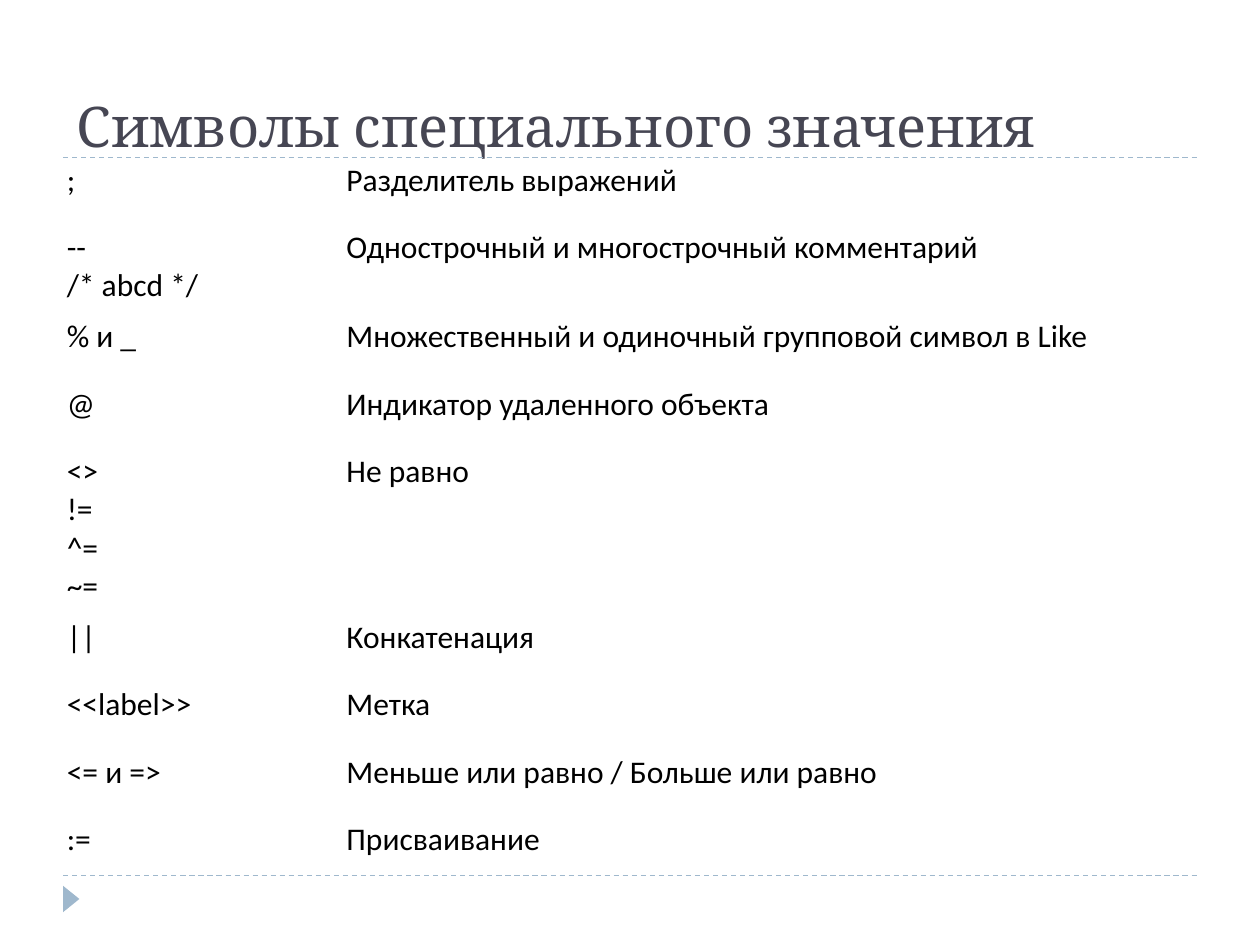
import pptx
import pptx.util
import pptx.dml.color
import pptx.enum.dml
import pptx.enum.shapes
import pptx.enum.text
import pptx.oxml.ns
from lxml import etree
from pptx.util import Inches

TITLE = "Символы специального значения"
SYMBOLS = [
    ([";"], "Разделитель выражений", 0.53),
    (["--", "/* abcd */"], "Однострочный и многострочный комментарий", 0.7),
    (["% и _"], "Множественный и одиночный групповой символ в Like", 0.54),
    (["@"], "Индикатор удаленного объекта", 0.53),
    (["<>", "!=", "^=", "~="], "Не равно", 1.3),
    (["||"], "Конкатенация", 0.53),
    (["<<label>>"], "Метка", 0.54),
    (["<= и =>"], "Меньше или равно / Больше или равно", 0.53),
    ([":="], "Присваивание", 0.53),
]
COLUMNS = [2.22, 6.78]
RULES = [1.25, 6.95]
THEME = {
    "title": dict(size=32, font="Cambria", color="464653"),
    "body": dict(size=18, font="Calibri", color="000000"),
    "accent": "9FB8CD",
    "rule": 0.74,
}
NO_STYLE = "{2D5ABB26-0587-4C30-8999-92F81FD0307C}"


def rgb(value):
    return pptx.dml.color.RGBColor.from_string(value)


def write(tf, lines, size, font, color, anchor):
    tf.word_wrap = True
    for i, line in enumerate(lines):
        p = tf.paragraphs[0] if i == 0 else tf.add_paragraph()
        p.alignment = pptx.enum.text.PP_ALIGN.LEFT
        r = p.add_run()
        r.text = line
        r.font.size = pptx.util.Pt(size)
        r.font.name = font
        r.font.color.rgb = rgb(color)
    tf.vertical_anchor = anchor


prs = pptx.Presentation()
prs.slide_width, prs.slide_height = Inches(10), Inches(7.5)
s = prs.slides.add_slide(prs.slide_layouts[5])

for y in RULES:
    rule = s.shapes.add_connector(
        pptx.enum.shapes.MSO_CONNECTOR.STRAIGHT,
        Inches(0.5), Inches(y), Inches(9.5), Inches(y))
    rule.line.color.rgb = rgb(THEME["accent"])
    rule.line.width = pptx.util.Pt(THEME["rule"])
    rule.line.dash_style = pptx.enum.dml.MSO_LINE.DASH
    etree.SubElement(rule._element.spPr, pptx.oxml.ns.qn("a:effectLst"))

marker = s.shapes.add_shape(
    pptx.enum.shapes.MSO_SHAPE.ISOSCELES_TRIANGLE,
    Inches(0.46), Inches(7.07), Inches(0.21), Inches(0.13))
marker.rotation = 90
marker.shadow.inherit = False
marker.fill.solid()
marker.fill.fore_color.rgb = rgb(THEME["accent"])
marker.line.fill.background()

title = s.shapes.title
title.left, title.top = Inches(0.51), Inches(0.69)
title.width, title.height = Inches(9), Inches(0.62)
write(title.text_frame, [TITLE], **THEME["title"],
      anchor=pptx.enum.text.MSO_ANCHOR.BOTTOM)
title.text_frame.auto_size = pptx.enum.text.MSO_AUTO_SIZE.NONE

table = s.shapes.add_table(
    len(SYMBOLS), len(COLUMNS), Inches(0.43), Inches(1.23),
    Inches(sum(COLUMNS)), Inches(sum(row[2] for row in SYMBOLS))).table
table.first_row = table.horz_banding = False
table._tbl.tblPr.find(pptx.oxml.ns.qn("a:tableStyleId")).text = NO_STYLE
for column, width in zip(table.columns, COLUMNS):
    column.width = Inches(width)
for row, (symbols, meaning, height) in zip(table.rows, SYMBOLS):
    row.height = Inches(height)
    for cell, lines in zip(row.cells, (symbols, [meaning])):
        cell.fill.background()
        write(cell.text_frame, lines, **THEME["body"],
              anchor=pptx.enum.text.MSO_ANCHOR.TOP)

prs.save("out.pptx")
